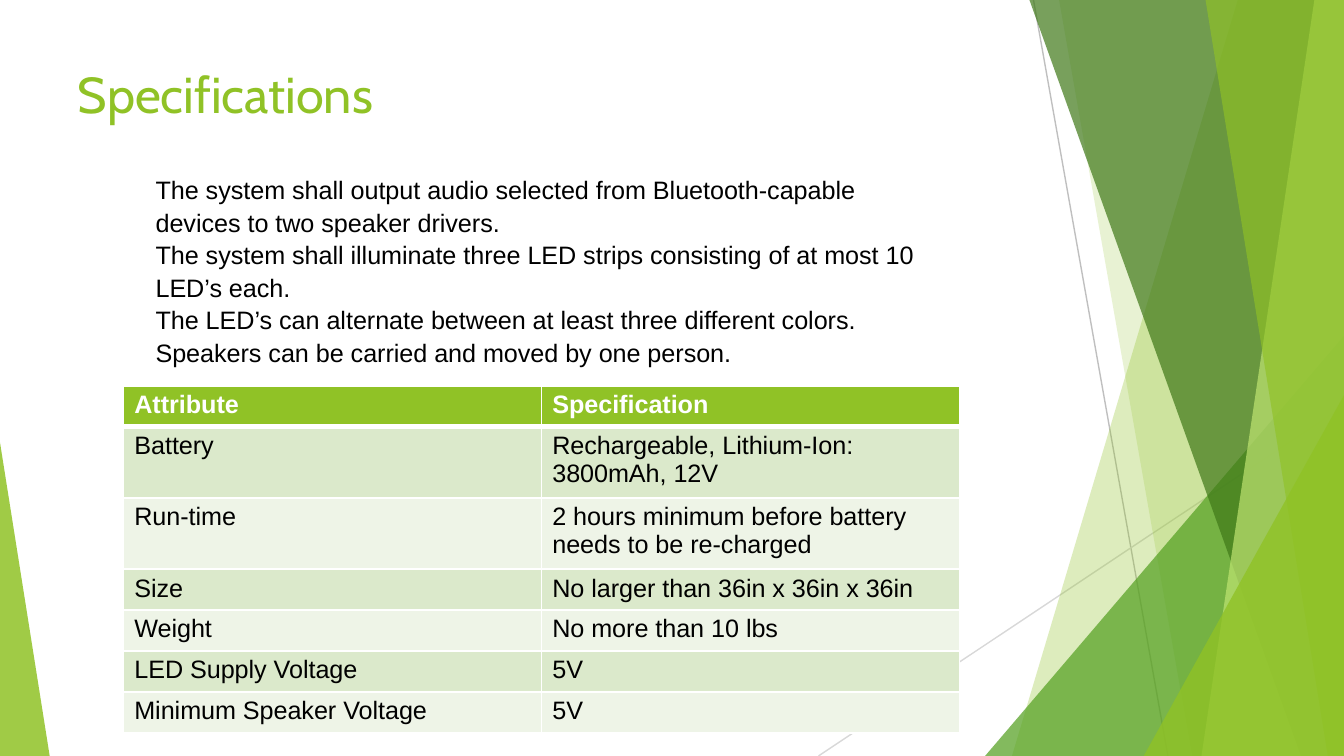
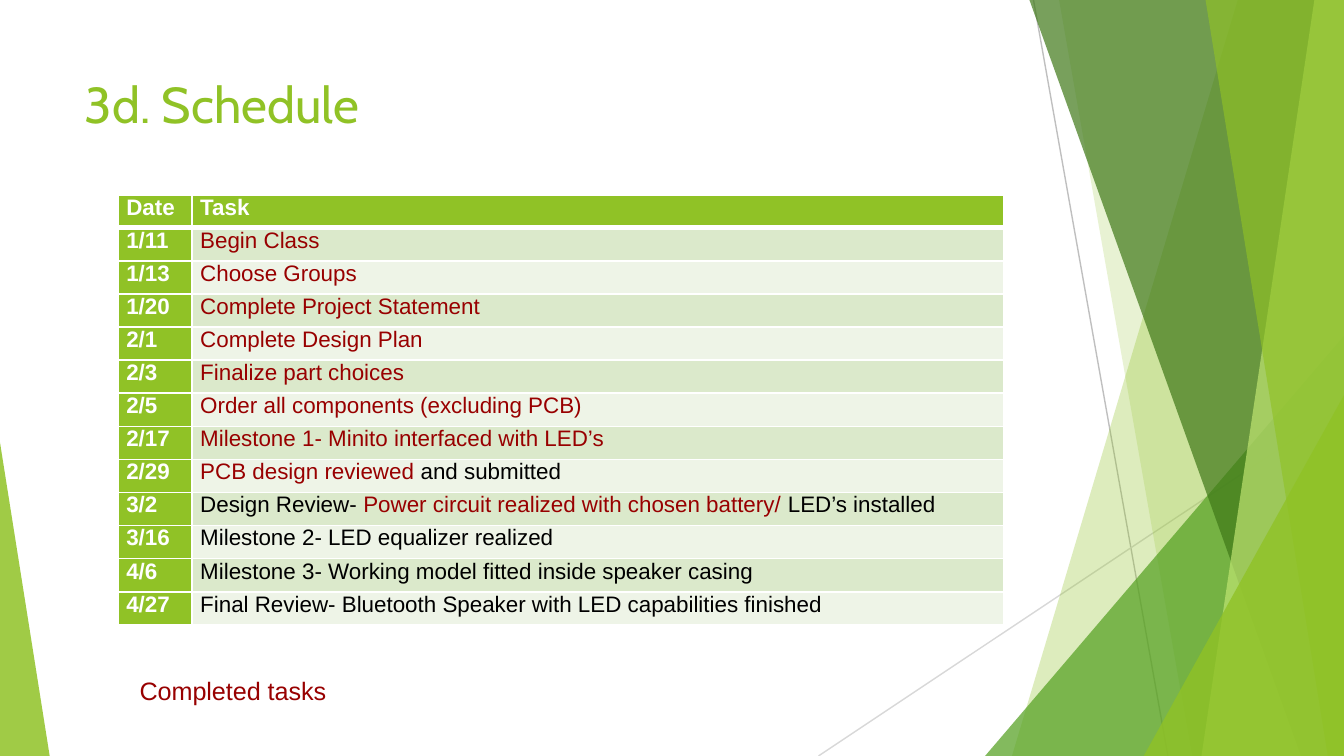
from pptx import Presentation
from pptx.dml.color import RGBColor
from pptx.enum.shapes import MSO_CONNECTOR, MSO_SHAPE
from pptx.oxml import parse_xml
from pptx.oxml.ns import nsdecls
from pptx.util import Inches, Pt

WIDTH = 10
HEIGHT = WIDTH * 9 / 16
LIME, GREEN, FOREST, PALE = "90C226", "54A021", "3F7818", "BFE471"
WHITE, BLACK, DARK_RED = "FFFFFF", "000000", "980000"
ROW_BANDS = ("DBE9CB", "EEF4E7")
TITLE_FONT, BODY_FONT = "Cabin", "Arial"
TITLE_SIZE, BODY_SIZE, SCHEDULE_SIZE = 27, 13.5, 12

REQUIREMENTS = [
    "The system shall output audio selected from Bluetooth-capable devices to two speaker drivers.",
    "The system shall illuminate three LED strips consisting of at most 10 LED’s each.",
    "The LED’s can alternate between at least three different colors.",
    "Speakers can be carried and moved by one person.",
]
SPECIFICATIONS = [
    ("Attribute", "Specification"),
    ("Battery", "Rechargeable, Lithium-Ion: 3800mAh, 12V"),
    ("Run-time", "2 hours minimum before battery needs to be re-charged"),
    ("Size", "No larger than 36in x 36in x 36in"),
    ("Weight", "No more than 10 lbs"),
    ("LED Supply Voltage", "5V"),
    ("Minimum Speaker Voltage", "5V"),
]
TWO_LINE_ROWS = ("Battery", "Run-time")
SCHEDULE_HEADER = ("Date", "Task")
DONE, OPEN = DARK_RED, BLACK
SCHEDULE = [
    ("1/11", [("Begin Class", DONE)]),
    ("1/13", [("Choose Groups", DONE)]),
    ("1/20", [("Complete Project Statement", DONE)]),
    ("2/1", [("Complete Design Plan", DONE)]),
    ("2/3", [("Finalize part choices", DONE)]),
    ("2/5", [("Order all components (excluding PCB)", DONE)]),
    ("2/17", [("Milestone 1- Minito interfaced with LED’s", DONE)]),
    ("2/29", [("PCB design reviewed ", DONE), ("and submitted", OPEN)]),
    ("3/2", [("Design Review- ", OPEN),
             ("Power circuit realized with chosen battery/", DONE),
             (" LED’s installed", OPEN)]),
    ("3/16", [("Milestone 2- LED equalizer realized", OPEN)]),
    ("4/6", [("Milestone 3- Working model fitted inside speaker casing", OPEN)]),
    ("4/27", [("Final Review- Bluetooth Speaker with LED capabilities finished", OPEN)]),
]

RAYS = [
    ((7.69, 0), (8.69, HEIGHT), "BFBFBF"),
    ((WIDTH, 3.02), (6.09, HEIGHT), "D8D8D8"),
]
# (kind, top-left x, bottom-left x) for bands; (left, top, width, apex) for triangles
FACETS = [
    ("band", (9.21, 7.53), LIME, 30),
    ("band", (7.88, 8.87), LIME, 20),
    ("triangle", (7.33, 2.5, 2.67, 1), GREEN, 72),
    ("band", (7.66, 9.68), FOREST, 70),
    ("band", (9.78, 8.94), PALE, 70),
    ("band", (8.97, 9.88), LIME, 65),
    ("triangle", (8.51, 2.94, 1.49, 1), LIME, 80),
    ("triangle", (0, 3.29, 0.37, 0), LIME, 85),
]


def color(hex_value):
    return RGBColor.from_string(hex_value)


def add_ray(slide, start, end, hex_value):
    ray = slide.shapes.add_connector(
        MSO_CONNECTOR.STRAIGHT, *(Inches(value) for value in start + end))
    ray.line.color.rgb = color(hex_value)
    ray.line.width = Pt(0.75)
    ray._element.spPr.append(parse_xml(f"<a:effectLst {nsdecls('a')}/>"))


def add_facet(slide, kind, place, hex_value, opacity):
    if kind == "band":
        top_x, bottom_x = place
        corners = [(Inches(x), Inches(y)) for x, y in
                   ((top_x, 0), (WIDTH, 0), (WIDTH, HEIGHT), (bottom_x, HEIGHT))]
        builder = slide.shapes.build_freeform(*corners[0])
        builder.add_line_segments(corners[1:], close=True)
        shape = builder.convert_to_shape()
    else:
        left, top, width, apex = place
        shape = slide.shapes.add_shape(
            MSO_SHAPE.ISOSCELES_TRIANGLE, Inches(left), Inches(top),
            Inches(width), Inches(HEIGHT - top))
        shape.adjustments[0] = apex
    shape.shadow.inherit = False
    shape.line.fill.background()
    shape.fill.solid()
    shape.fill.fore_color.rgb = color(hex_value)
    shape.fill._xPr.solidFill[0].append(
        parse_xml(f'<a:alpha {nsdecls("a")} val="{opacity * 1000}"/>'))


def format_run(run, size, hex_value, font=BODY_FONT, bold=False):
    run.font.name = font
    run.font.size = Pt(size)
    run.font.bold = bold
    run.font.color.rgb = color(hex_value)


def set_margins(target, horizontal, vertical):
    target.margin_left = target.margin_right = Inches(horizontal)
    target.margin_top = target.margin_bottom = Inches(vertical)


def add_text(slide, box, lines, size, hex_value, font=BODY_FONT,
             margins=(0.1, 0.1), spacing=1.08):
    text_frame = slide.shapes.add_textbox(*(Inches(value) for value in box)).text_frame
    text_frame.word_wrap = True
    set_margins(text_frame, *margins)
    text_frame.text = "\n".join(lines)
    for paragraph in text_frame.paragraphs:
        paragraph.line_spacing = spacing
        for run in paragraph.runs:
            format_run(run, size, hex_value, font)


def add_borders(cell, bottom_width):
    properties = cell._tc.get_or_add_tcPr()
    for side, width in (("L", 1), ("R", 1), ("T", 1), ("B", bottom_width)):
        properties.append(parse_xml(
            f'<a:ln{side} {nsdecls("a")} w="{Pt(width)}"><a:solidFill>'
            f'<a:srgbClr val="{WHITE}"/></a:solidFill></a:ln{side}>'))


def add_grid(slide, left, top, widths, heights, rows, size, margins, date_column=False):
    table = slide.shapes.add_table(
        len(rows), len(widths), Inches(left), Inches(top),
        Inches(sum(widths)), Inches(sum(heights))).table
    for column, width in zip(table.columns, widths):
        column.width = Inches(width)
    for row_index, (height, contents) in enumerate(zip(heights, rows)):
        table.rows[row_index].height = Inches(height)
        for column_index, content in enumerate(contents):
            cell = table.cell(row_index, column_index)
            heading = row_index == 0 or (date_column and column_index == 0)
            set_margins(cell, *margins)
            add_borders(cell, 3 if row_index == 0 else 1)
            cell.fill.solid()
            cell.fill.fore_color.rgb = color(LIME if heading else ROW_BANDS[(row_index - 1) % 2])
            pieces = [(content, BLACK)] if isinstance(content, str) else content
            for text, hex_value in pieces:
                run = cell.text_frame.paragraphs[0].add_run()
                run.text = text
                format_run(run, size, WHITE if heading else hex_value, bold=heading)


def add_slide(presentation, title, left, top):
    slide = presentation.slides.add_slide(presentation.slide_layouts[6])
    for ray in RAYS:
        add_ray(slide, *ray)
    for facet in FACETS:
        add_facet(slide, *facet)
    add_text(slide, (left, top, 7.05, 1.08), [title], TITLE_SIZE, LIME,
             TITLE_FONT, (0.07, 0.04), 1)
    return slide


def main():
    presentation = Presentation()
    presentation.slide_width = Inches(WIDTH)
    presentation.slide_height = Inches(HEIGHT)

    slide = add_slide(presentation, "Specifications", 0.51, 0.43)
    heights = [0.51 if name in TWO_LINE_ROWS else 0.29 for name, _ in SPECIFICATIONS]
    add_grid(slide, 0.92, 2.87, (3.11, 3.11), heights, SPECIFICATIONS,
             BODY_SIZE, (0.08, 0.04))
    add_text(slide, (1.06, 1.18, 5.86, 1.6), REQUIREMENTS, BODY_SIZE, BLACK)

    slide = add_slide(presentation, "3d. Schedule", 0.56, 0.5)
    rows = [SCHEDULE_HEADER] + SCHEDULE
    add_grid(slide, 0.88, 1.45, (0.55, 6.04), [3.2 / len(rows)] * len(rows), rows,
             SCHEDULE_SIZE, (0.06, 0), date_column=True)
    add_text(slide, (0.94, 4.91, 3.49, 0.26), ["Completed tasks"], BODY_SIZE, DARK_RED)

    presentation.save("out.pptx")


if __name__ == "__main__":
    main()
